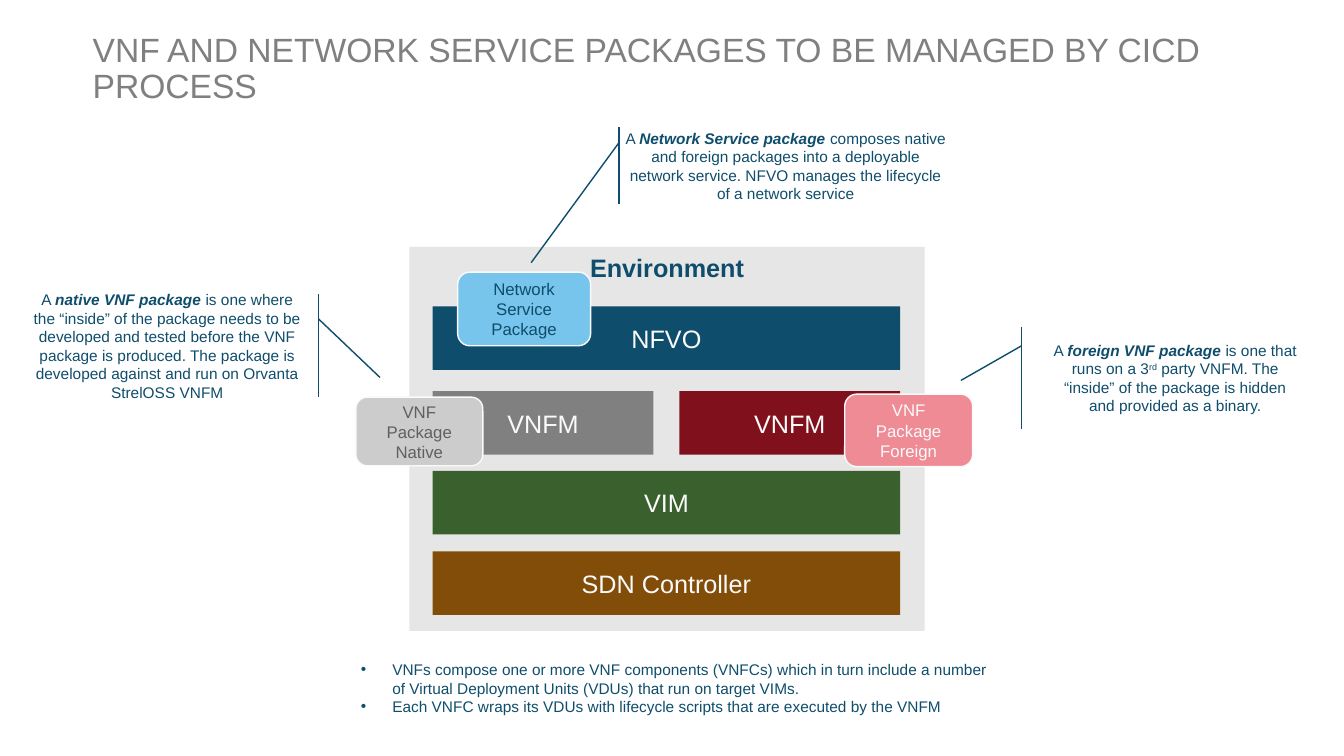
from lxml import etree
from pptx import Presentation
from pptx.dml.color import RGBColor as RGB
from pptx.enum.shapes import MSO_SHAPE as Kind
from pptx.enum.text import MSO_ANCHOR as Anchor, PP_ALIGN as Align
from pptx.oxml.ns import qn
from pptx.util import Pt

HUES = {
    "navy": "0F4D6C", "pale": "FAFAFA", "title": "808080", "panel": "E6E6E6",
    "gray": "808080", "red": "80111C", "green": "39602D", "brown": "814D09",
    "pink": "EF8B95", "silver": "CCCCCC", "sky": "77C5EC", "dark": "606060",
}


def style(para, size, hue, align=Align.CENTER):
    para.alignment = align
    for run in para.runs:
        run.font.name = "Arial"
        run.font.size = Pt(size)
        run.font.color.rgb = RGB.from_string(HUES[hue])


def add_box(kind, box, fill=None, line=None):
    shape = slide.shapes.add_shape(kind, *map(Pt, box))
    shape.shadow.inherit = False
    if fill:
        shape.fill.solid()
        shape.fill.fore_color.rgb = RGB.from_string(HUES[fill])
    else:
        shape.fill.background()
    if line:
        shape.line.color.rgb = RGB.from_string(HUES[line])
        shape.line.width = Pt(1)
    else:
        shape.line.fill.background()
    shape.text_frame.word_wrap = True
    shape.text_frame.vertical_anchor = Anchor.MIDDLE
    return shape


deck = Presentation()
deck.slide_width, deck.slide_height = Pt(960), Pt(540)
slide = deck.slides.add_slide(deck.slide_layouts[6])

# Environment panel
panel = add_box(Kind.RECTANGLE, (292.5, 176.4, 368, 274.3), "panel")
panel.text_frame.vertical_anchor = Anchor.TOP
panel.text_frame.text = "Environment"
label = panel.text_frame.paragraphs[0]
style(label, 18, "navy")
label.runs[0].font.bold = True

# Title
frame = slide.shapes.add_textbox(Pt(66.2), Pt(19.4), Pt(868.3), Pt(60.5)).text_frame
frame.word_wrap = True
frame.vertical_anchor = Anchor.MIDDLE
frame.margin_left = frame.margin_right = frame.margin_top = frame.margin_bottom = 0
frame.text = "VNF AND NETWORK SERVICE PACKAGES TO BE MANAGED BY CICD PROCESS"
frame.paragraphs[0].line_spacing = 0.9
style(frame.paragraphs[0], 24, "title", Align.LEFT)

# Layers of the stack
left, full, half = 309, 334, 157.8
layers = [
    ("VNFM", left, 279.4, half, "gray"),
    ("VNFM", left + full - half, 279.4, half, "red"),
    ("NFVO", left, 218.9, full, "navy"),
    ("VIM", left, 336.4, full, "green"),
    ("SDN Controller", left, 393.8, full, "brown"),
]
for text, x, y, width, fill in layers:
    layer = add_box(Kind.RECTANGLE, (x, y, width, 45.4), fill)
    layer.text_frame.text = text
    style(layer.text_frame.paragraphs[0], 18, "pale")

# Package badges
badges = [
    ("VNF Package Foreign", (603.4, 281.5, 91.4, 51.8), "pink", "pale"),
    ("VNF Package Native", (254.2, 283.7, 90.7, 49), "silver", "dark"),
    ("Network Service Package", (326.9, 194.4, 95, 52.6), "sky", "navy"),
]
for text, box, fill, ink in badges:
    badge = add_box(Kind.ROUNDED_RECTANGLE, box, fill, "pale")
    badge.text_frame.text = text
    style(badge.text_frame.paragraphs[0], 12, ink)

# Callouts: box, bar and leader ratios, term, then plain and raised text
callouts = [
    ((745.2, 233.3, 188.6, 73.4), (0.188, -0.083, 0.524, -0.312),
     "foreign VNF package ",
     ["is one that runs on a 3", "rd",
      " party VNFM. The “inside” of the package is hidden and provided as a binary."]),
    ((14.4, 210.2, 210.2, 73.4), (0.24, 1.014, 0.81, 1.223),
     "native VNF package ",
     ["is one where the “inside” of the package needs to be developed and tested "
      "before the VNF package is produced. The package is developed against and "
      "run on Orvanta StrelOSS VNFM"]),
    ((439.2, 90.7, 244.1, 55.4), (0.203, 0.012, 1.75, -0.245),
     "Network Service package ",
     ["composes native and foreign packages into a deployable network service. "
      "NFVO manages the lifecycle of a network service"]),
]
for box, ratios, term, rest in callouts:
    note = add_box(Kind.LINE_CALLOUT_1_ACCENT_BAR, box, line="navy")
    for i, ratio in enumerate(ratios):
        note.adjustments[i] = ratio
    para = note.text_frame.paragraphs[0]
    for text in ["A ", term, *rest]:
        run = para.add_run()
        run.text = text
        if text == term:
            run.font.bold = run.font.italic = True
        elif text == "rd":
            run.font._element.set("baseline", "30000")
    style(para, 11, "navy")

# Bullets
frame = slide.shapes.add_textbox(Pt(250.6), Pt(468), Pt(468.7), Pt(47.5)).text_frame
frame.word_wrap = True
frame.text = (
    "VNFs compose one or more VNF components (VNFCs) which in turn include a number "
    "of Virtual Deployment Units (VDUs) that run on target VIMs.\n"
    "Each VNFC wraps its VDUs with lifecycle scripts that are executed by the VNFM"
)
for para in frame.paragraphs:
    style(para, 11, "navy", Align.LEFT)
    props = para._p.get_or_add_pPr()
    props.set("marL", str(Pt(22.5)))
    props.set("indent", str(-Pt(22.5)))
    etree.SubElement(props, qn("a:buFont"), typeface="Arial")
    etree.SubElement(props, qn("a:buChar"), char="•")

deck.save("out.pptx")
